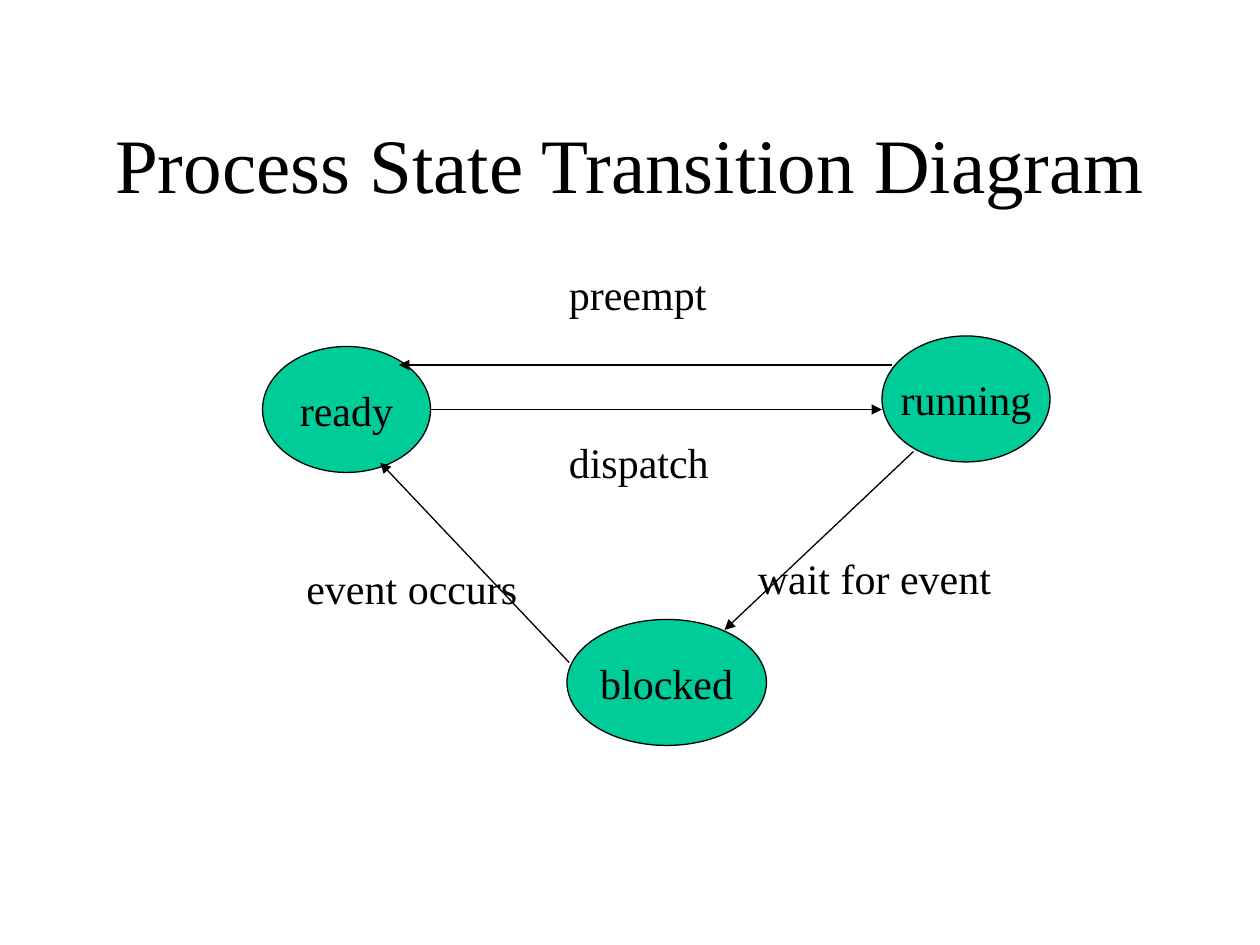
from lxml import etree
from pptx import Presentation
from pptx.dml.color import RGBColor
from pptx.enum import shapes, text
from pptx.oxml import ns
from pptx.util import Pt

BLACK = RGBColor(0, 0, 0)
GREEN = RGBColor(0, 0xCC, 0x99)
FONT = "Times New Roman"


def write(frame, words, size=24, align=text.PP_ALIGN.LEFT,
          anchor=text.MSO_ANCHOR.TOP, wrap=True):
    frame.word_wrap = wrap
    frame.auto_size = text.MSO_AUTO_SIZE.NONE
    frame.vertical_anchor = anchor
    para = frame.paragraphs[0]
    para.alignment = align
    run = para.add_run()
    run.text = words
    run.font.name = FONT
    run.font.size = Pt(size)
    run.font.color.rgb = BLACK


class Page:
    mid = dict(align=text.PP_ALIGN.CENTER, anchor=text.MSO_ANCHOR.MIDDLE)
    weight = Pt(0.75)

    def __init__(self, slide):
        self.slide = slide

    def title(self, words, *box):
        head = self.slide.shapes.title
        head.left, head.top, head.width, head.height = map(Pt, box)
        write(head.text_frame, words, size=44, **self.mid)

    def state(self, words, left, top, width=96, height=72):
        oval = self.slide.shapes.add_shape(
            shapes.MSO_SHAPE.OVAL, Pt(left), Pt(top), Pt(width), Pt(height))
        oval.shadow.inherit = False
        oval.fill.solid()
        oval.fill.fore_color.rgb = GREEN
        oval.line.color.rgb = BLACK
        oval.line.width = self.weight
        write(oval.text_frame, words, wrap=False, **self.mid)

    def arrow(self, *ends):
        link = self.slide.shapes.add_connector(
            shapes.MSO_CONNECTOR.STRAIGHT, *map(Pt, ends))
        link.line.color.rgb = BLACK
        link.line.width = self.weight
        tip = etree.SubElement(link.line._get_or_add_ln(), ns.qn("a:tailEnd"))
        tip.set("type", "triangle")
        etree.SubElement(link._element.spPr, ns.qn("a:effectLst"))

    def label(self, words, left, top, width, height=36):
        box = self.slide.shapes.add_textbox(
            Pt(left), Pt(top), Pt(width), Pt(height))
        write(box.text_frame, words)


def main():
    deck = Presentation()
    deck.slide_width, deck.slide_height = Pt(720), Pt(540)
    page = Page(deck.slides.add_slide(deck.slide_layouts[5]))
    page.title("Process State Transition Diagram", 54, 48, 612, 90)

    # States
    page.state("ready", 150, 198)
    page.state("running", 504, 192)
    page.state("blocked", 324, 354, width=114)

    # Transitions: dispatch, preempt, event occurs, wait for event
    page.arrow(246, 234, 504, 234)
    page.arrow(510, 208.6, 228, 208.6)
    page.arrow(325.3, 378.6, 217.3, 264.4)
    page.arrow(522, 258, 414, 360)

    # Transition names
    page.label("preempt", 318, 150, 96)
    page.label("dispatch", 318, 246, 102)
    page.label("wait for event", 426, 312, 154)
    page.label("event occurs", 168, 318, 144)

    deck.save("out.pptx")


if __name__ == "__main__":
    main()
